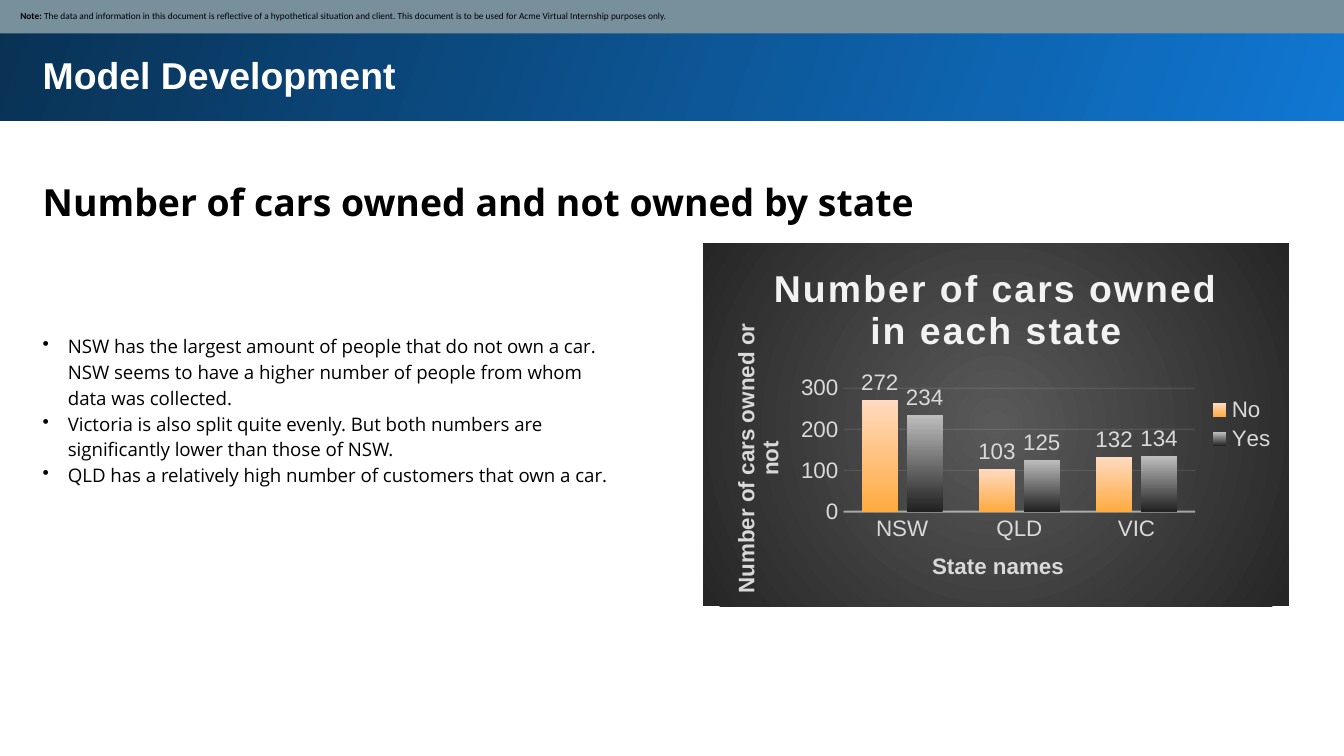
from dataclasses import dataclass

from lxml import etree
from pptx import Presentation
from pptx import util as u
from pptx.chart import data
from pptx.dml import color
from pptx.enum import chart as ce, shapes, text
from pptx.oxml import ns

SANS, HEADING = "Arial", "Open Sans"
BLACK, WHITE, PALE, GREY = "000000", "FFFFFF", "F2F2F2", "D9D9D9"


@dataclass
class Box:
    left: float
    top: float
    width: float
    height: float

    def lengths(self) -> list:
        return [u.Pt(v) for v in (self.left, self.top, self.width, self.height)]


@dataclass
class Answer:
    name: str
    counts: tuple
    low: str
    high: str


def rgb(value: str) -> color.RGBColor:
    return color.RGBColor.from_string(value)


def style(font, size: float, face: str, tint: str, bold: bool = False) -> None:
    font.size, font.name, font.bold = u.Pt(size), face, bold
    font.color.rgb = rgb(tint)


def shade(fill, start: str, end: str, clockwise: float) -> None:
    fill.gradient()
    fill.gradient_angle = 360 - clockwise
    for stop, tint, position in zip(fill.gradient_stops, (start, end), (0, 1)):
        stop.color.rgb = rgb(tint)
        stop.position = position


def add_band(slide, box: Box):
    band = slide.shapes.add_shape(shapes.MSO_SHAPE.RECTANGLE, *box.lengths())
    band.shadow.inherit = False
    band.line.fill.background()
    return band


def add_text(slide, box: Box, lines: list, size: float, face: str, tint: str,
             bold: bool = False, spacing: float = 1.0, indent: float = 0) -> None:
    frame = slide.shapes.add_textbox(*box.lengths()).text_frame
    frame.word_wrap = True
    frame.auto_size = text.MSO_AUTO_SIZE.SHAPE_TO_FIT_TEXT
    frame.margin_left = frame.margin_right = u.Pt(7.2)
    frame.margin_top = frame.margin_bottom = u.Pt(7.2)
    frame.text = "\n".join(lines)
    for paragraph in frame.paragraphs:
        paragraph.line_spacing = spacing
        if indent:
            properties = paragraph._p.get_or_add_pPr()
            properties.set("marL", str(u.Pt(indent)))
            properties.set("indent", str(-u.Pt(indent)))
            etree.SubElement(properties, ns.qn("a:buChar"), char="•")
        for run in paragraph.runs:
            style(run.font, size, face, tint, bold)


def draw_line(line, tint: str, width: float, opacity: int) -> None:
    line.width = u.Pt(width)
    line.color.rgb = rgb(tint)
    solid = line._ln.find(".//" + ns.qn("a:srgbClr"))
    etree.SubElement(solid, ns.qn("a:alpha"), val=str(opacity * 1000))


def set_title(owner, wording: str, size: float, tint: str):
    frame = (owner.chart_title if hasattr(owner, "chart_title")
             else owner.axis_title).text_frame
    frame.text = wording
    font = frame.paragraphs[0].runs[0].font
    style(font, size, SANS, tint, True)
    return font


def paint_backdrop(chart, centre: str, edge: str) -> None:
    backdrop = etree.fromstring(
        f'<c:spPr {ns.nsdecls("c", "a")}><a:gradFill><a:gsLst>'
        f'<a:gs pos="0"><a:srgbClr val="{centre}"/></a:gs>'
        f'<a:gs pos="100000"><a:srgbClr val="{edge}"/></a:gs></a:gsLst>'
        '<a:path path="circle"><a:fillToRect l="50000" t="50000" r="50000" '
        'b="50000"/></a:path></a:gradFill><a:ln><a:noFill/></a:ln></c:spPr>')
    chart._chartSpace.find(ns.qn("c:chart")).addnext(backdrop)


def place_plot(chart, **shares: float) -> None:
    area = chart._chartSpace.find(".//" + ns.qn("c:plotArea"))
    for old in area.findall(ns.qn("c:layout")):
        area.remove(old)
    layout = etree.Element(ns.qn("c:layout"))
    manual = etree.SubElement(layout, ns.qn("c:manualLayout"))
    settings = {"layoutTarget": "inner", "xMode": "edge", "yMode": "edge", **shares}
    for tag, value in settings.items():
        etree.SubElement(manual, ns.qn("c:" + tag), val=str(value))
    area.insert(0, layout)


def add_cars_chart(slide, box: Box, states: tuple, answers: list) -> None:
    cars = data.CategoryChartData()
    cars.categories = states
    for answer in answers:
        cars.add_series(answer.name, answer.counts)
    chart = slide.shapes.add_chart(
        ce.XL_CHART_TYPE.COLUMN_CLUSTERED, *box.lengths(), cars).chart
    style(chart.font, 10, SANS, BLACK)
    paint_backdrop(chart, "595959", "262626")
    place_plot(chart, x=0.24, y=0.4, w=0.6, h=0.34)

    heading = set_title(chart, "Number of cars owned in each state", 20, PALE)
    heading._element.set("spc", "100")
    chart.chart_title.include_in_layout = False

    chart.has_legend = True
    chart.legend.position = ce.XL_LEGEND_POSITION.RIGHT
    chart.legend.include_in_layout = False
    style(chart.legend.font, 12, SANS, GREY)

    state_axis, count_axis = chart.category_axis, chart.value_axis
    for axis, wording in ((state_axis, "State names"),
                          (count_axis, "Number of cars owned or not")):
        set_title(axis, wording, 12, GREY)
        axis.major_tick_mark = axis.minor_tick_mark = ce.XL_TICK_MARK.NONE
        style(axis.tick_labels.font, 12, SANS, GREY)
    draw_line(state_axis.format.line, PALE, 1, 54)
    count_axis.format.line.fill.background()
    count_axis.minimum_scale, count_axis.maximum_scale = 0, 300
    count_axis.major_unit = 100
    draw_line(count_axis.major_gridlines.format.line, PALE, 0.75, 10)

    plot = chart.plots[0]
    plot.gap_width, plot.overlap, plot.vary_by_categories = 100, -24, False
    for series, answer in zip(plot.series, answers):
        shade(series.format.fill, answer.low, answer.high, 270)
        labels = series.data_labels
        labels.show_value = True
        labels.position = ce.XL_LABEL_POSITION.OUTSIDE_END
        style(labels.font, 12, SANS, GREY)


def add_note(slide, box: Box, label: str, wording: str) -> None:
    band = add_band(slide, box)
    band.fill.solid()
    band.fill.fore_color.rgb = rgb("78909C")
    frame = band.text_frame
    frame.word_wrap = True
    frame.vertical_anchor = text.MSO_ANCHOR.MIDDLE
    frame.margin_left = u.Pt(11.6)
    frame.margin_top = frame.margin_right = frame.margin_bottom = u.Pt(3.6)
    paragraph = frame.paragraphs[0]
    paragraph.alignment = text.PP_ALIGN.LEFT
    for part, bold in ((label, True), (wording, False)):
        run = paragraph.add_run()
        run.text = part
        style(run.font, 5, "Calibri", BLACK, bold)


def main() -> None:
    deck = Presentation()
    deck.slide_width, deck.slide_height = u.Pt(720), u.Pt(405)
    slide = deck.slides.add_slide(deck.slide_layouts[6])

    header = add_band(slide, Box(-1.5, -1.5, 723.5, 66.3))
    shade(header.fill, "1077D2", "093153", 200)
    add_text(slide, Box(15.8, 20.9, 674.6, 38.9), ["Model Development"],
             20, SANS, WHITE, bold=True)
    add_text(slide, Box(15.8, 85, 674.6, 40.3),
             ["Number of cars owned and not owned by state"],
             20, HEADING, BLACK, bold=True, spacing=1.15)
    add_text(slide, Box(15.8, 170.6, 325.4, 110.9), [
        "NSW has the largest amount of people that do not own a car. NSW seems to "
        "have a higher number of people from whom data was collected.",
        "Victoria is also split quite evenly. But both numbers are significantly "
        "lower than those of NSW.",
        "QLD has a relatively high number of customers that own a car.",
    ], 10, HEADING, BLACK, spacing=1.15, indent=13.5)
    add_note(slide, Box(-0.7, -0.7, 722, 18.7), "Note: ",
             "The data and information in this document is reflective of a "
             "hypothetical situation and client. This document is to be used for "
             "Acme Virtual Internship purposes only.")
    add_cars_chart(slide, Box(376.6, 130.3, 313.9, 194.4), ("NSW", "QLD", "VIC"), [
        Answer("No", (272, 103, 132), "FFAB40", "FFDAC0"),
        Answer("Yes", (234, 125, 134), "212121", "BDBDBD"),
    ])
    deck.save("out.pptx")


if __name__ == "__main__":
    main()
